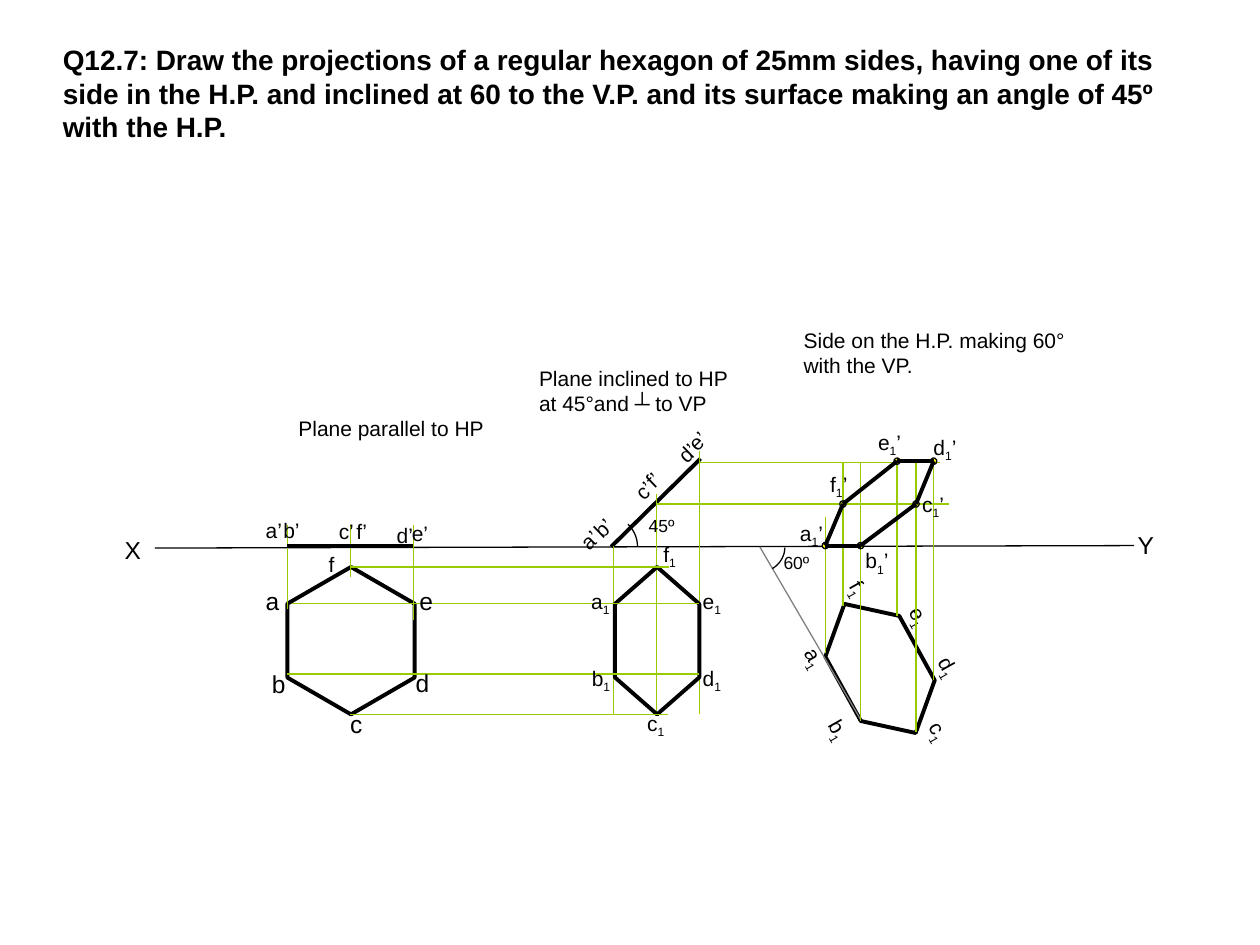
from math import cos, radians, sin

from lxml.etree import SubElement
from pptx import Presentation
from pptx.dml.color import RGBColor
from pptx.enum.shapes import MSO_CONNECTOR, MSO_SHAPE
from pptx.enum.text import MSO_AUTO_SIZE, PP_ALIGN
from pptx.oxml.ns import qn
from pptx.util import Inches, Pt

BLACK = RGBColor(0x00, 0x00, 0x00)
GREEN = RGBColor(0x99, 0xCC, 0x00)
GRAY = RGBColor(0x80, 0x80, 0x80)
YELLOW = RGBColor(0xFF, 0xFF, 0x00)
FONT = "Arial"
THIN, THICK = 0.75, 2.25


def write_text(frame, text, size=12, bold=False, align=PP_ALIGN.LEFT):
    """Write one paragraph; pieces between underscores become subscripts."""
    paragraph = frame.paragraphs[0]
    paragraph.alignment = align
    for index, piece in enumerate(text.split("_")):
        if not piece:
            continue
        run = paragraph.add_run()
        run.text = piece
        run.font.name = FONT
        run.font.size = Pt(size)
        run.font.bold = bold
        run.font.color.rgb = BLACK
        if index % 2:
            run.font._element.set("baseline", "-25000")


class Drawing:
    def __init__(self, slide):
        self.shapes = slide.shapes

    def outline(self, shape, width, color=BLACK):
        shape.line.color.rgb = color
        shape.line.width = Pt(width)

    def line(self, start, end, color=BLACK, width=THIN):
        ends = [Inches(value) for value in (*start, *end)]
        connector = self.shapes.add_connector(MSO_CONNECTOR.STRAIGHT, *ends)
        self.outline(connector, width, color)
        SubElement(connector._element.spPr, qn("a:effectLst"))

    def hexagon(self, left, top, width, height, corner, rotation):
        shape = self.shapes.add_shape(
            MSO_SHAPE.HEXAGON, Inches(left), Inches(top), Inches(width), Inches(height))
        shape.adjustments[0] = corner
        shape.rotation = rotation
        shape.shadow.inherit = False
        shape.fill.background()
        self.outline(shape, THICK)

    def dot(self, center, size=0.05):
        x, y = (Inches(value - size / 2) for value in center)
        shape = self.shapes.add_shape(MSO_SHAPE.OVAL, x, y, Inches(size), Inches(size))
        shape.shadow.inherit = False
        shape.fill.solid()
        shape.fill.fore_color.rgb = YELLOW
        self.outline(shape, THIN)

    def arc(self, center, radius, start, end, steps=16):
        angles = [radians(start + (end - start) * i / steps) for i in range(steps + 1)]
        points = [(Inches(center[0] + radius * cos(a)), Inches(center[1] + radius * sin(a)))
                  for a in angles]
        builder = self.shapes.build_freeform(*points[0])
        builder.add_line_segments(points[1:], close=False)
        shape = builder.convert_to_shape()
        shape.shadow.inherit = False
        shape.fill.background()
        self.outline(shape, THIN)

    def text(self, text, left, top, width, height=0.3, rotation=0, wrap=False, **style):
        box = self.shapes.add_textbox(
            Inches(left), Inches(top), Inches(width), Inches(height))
        box.rotation = rotation
        box.text_frame.word_wrap = wrap
        box.text_frame.auto_size = MSO_AUTO_SIZE.SHAPE_TO_FIT_TEXT
        write_text(box.text_frame, text, **style)

    def labels(self, entries, **style):
        for text, left, top, width in entries:
            self.text(text, left, top, width, **style)


def main():
    prs = Presentation()
    prs.slide_width, prs.slide_height = Inches(10), Inches(7.5)
    drawing = Drawing(prs.slides.add_slide(prs.slide_layouts[6]))

    # Question
    drawing.text(
        "Q12.7: Draw the projections of a regular hexagon of 25mm sides, having one of its "
        "side in the H.P. and inclined at 60 to the V.P. and its surface making an angle of "
        "45º with the H.P.", 0.4, 0.29, 9.11, 0.9, wrap=True, size=16, bold=True)

    # Stage 1: plane parallel to HP
    drawing.hexagon(2.2, 4.58, 1.17, 1.01, 0.289, 90)
    drawing.line((1.23, 4.35), (9, 4.33))
    for x, bottom in ((2.28, 4.83), (3.28, 4.92), (2.78, 4.58)):
        drawing.line((x, bottom), (x, 4.17), GREEN)
    drawing.line((2.28, 4.33), (3.28, 4.33), width=THICK)

    # Stage 2: plane inclined to HP
    drawing.line((4.85, 4.34), (5.56, 3.64), width=THICK)
    for x, top in ((5.55, 3.58), (5.21, 3.92), (4.87, 4.33)):
        drawing.line((x, top), (x, 5.67), GREEN)
    drawing.hexagon(4.63, 4.75, 1.17, 0.67, 0.438, 90)

    # Horizontal projectors between the stages
    for left, right, y in ((2.78, 5.31, 4.5), (2.32, 5.55, 4.79), (2.28, 5.55, 5.35),
                           (2.78, 5.3, 5.67), (5.55, 7.46, 3.67), (5.21, 7.53, 4)):
        drawing.line((left, y), (right, y), GREEN)

    # Labels of the reference line and of stages 1 and 2
    drawing.labels([("X", 0.89, 4.2, 0.33), ("Y", 8.93, 4.16, 0.33),
                    ("a", 2.01, 4.6, 0.31), ("b", 2.06, 5.26, 0.31),
                    ("c", 2.68, 5.58, 0.3), ("d", 3.2, 5.25, 0.31),
                    ("e", 3.23, 4.6, 0.31)], height=0.33, size=14)
    drawing.labels([("f", 2.51, 4.33, 0.25), ("f’", 2.73, 4.07, 0.34),
                    ("e’", 3.17, 4.08, 0.33), ("d’", 3.05, 4.1, 0.33),
                    ("c’", 2.59, 4.07, 0.32), ("b’", 2.15, 4.06, 0.33),
                    ("a’", 2.01, 4.06, 0.35)])
    drawing.labels([("f’", 5.03, 3.64, 0.34), ("e’", 5.37, 3.35, 0.33),
                    ("d’", 5.29, 3.44, 0.33), ("c’", 4.95, 3.74, 0.32),
                    ("b’", 4.62, 4.04, 0.33), ("a’", 4.51, 4.13, 0.35)], rotation=316.1)
    drawing.labels([("a_1", 4.58, 4.62, 0.37), ("b_1", 4.59, 5.23, 0.36),
                    ("c_1", 5.03, 5.59, 0.35), ("d_1", 5.47, 5.23, 0.36),
                    ("e_1", 5.47, 4.62, 0.36), ("f_1", 5.16, 4.25, 0.31)],
                   align=PP_ALIGN.CENTER)

    # Stage 3: top view turned to 60° with the VP
    drawing.hexagon(6.4, 4.97, 1.17, 0.67, 0.438, 241.1)
    drawing.labels([("f_1", 6.66, 4.52, 0.31), ("a_1", 6.29, 5.07, 0.36),
                    ("c_1", 7.28, 5.65, 0.35), ("b_1", 6.48, 5.64, 0.36),
                    ("d_1", 7.35, 5.14, 0.36), ("e_1", 7.12, 4.74, 0.36)],
                   rotation=60.5, align=PP_ALIGN.CENTER)

    # Angle marks
    drawing.arc((4.81, 4.34), 0.25, -46, 0)
    drawing.line((6.03, 4.34), (6.83, 5.71), GRAY)
    drawing.arc((6.03, 4.34), 0.2, 2, 60)
    drawing.labels([("45º", 5.05, 4.04, 0.41), ("60º", 6.12, 4.33, 0.41)],
                   height=0.27, size=10)

    # Stage 3: front view with projectors, corners and edges
    corners = [(6.55, 4.33), (6.83, 4.33), (7.27, 4), (7.41, 3.66), (7.12, 3.66), (6.69, 4)]
    bottoms = [5.18, 5.72, 5.81, 5.4, 4.89, 4.81]
    for (x, _), bottom in zip(corners, bottoms):
        drawing.line((x, bottom), (x, 4.1 if x == corners[0][0] else 3.67), GREEN)
    drawing.labels([("a_1_’", 6.25, 4.08, 0.52), ("b_1_’", 6.77, 4.3, 0.52),
                    ("c_1_’", 7.22, 3.85, 0.44), ("d_1_’", 7.31, 3.4, 0.52),
                    ("e_1_’", 6.87, 3.36, 0.52), ("f_1_’", 6.49, 3.69, 0.4)], wrap=True)
    for corner in corners:
        drawing.dot(corner)
    for start, end in zip(corners, corners[1:] + corners[:1]):
        drawing.line(start, end, width=THICK)

    # Captions
    drawing.text("Plane parallel to HP", 2.27, 3.25, 1.8, wrap=True)
    drawing.text("Plane inclined to HP at 45°and ┴ to VP", 4.18, 2.85, 1.76, 0.5, wrap=True)
    drawing.text("Side on the H.P. making 60° with the VP.", 6.28, 2.55, 2.3, 0.5, wrap=True)

    prs.save("out.pptx")


if __name__ == "__main__":
    main()
